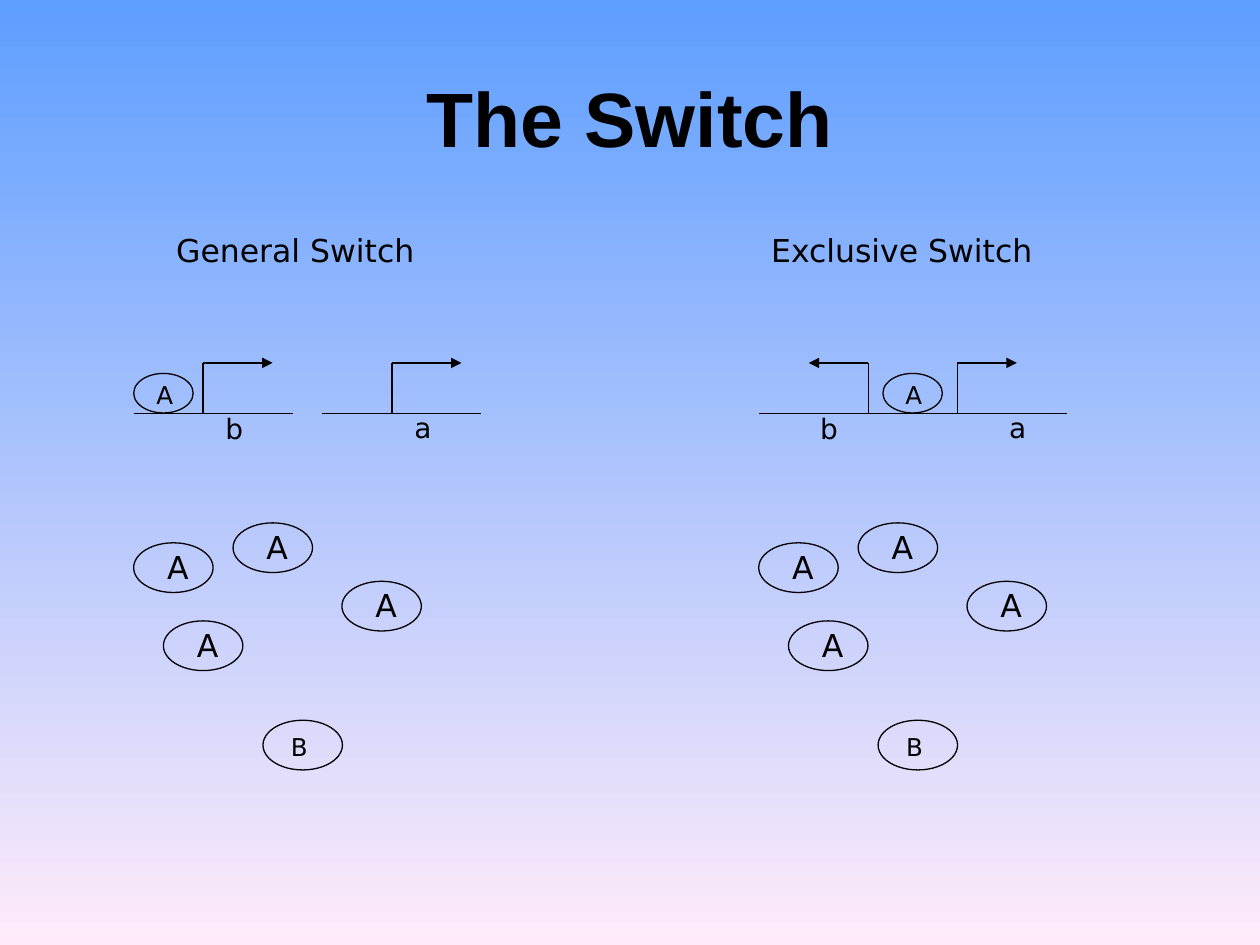
from pptx import Presentation
from pptx.dml.color import RGBColor as Rgb
from pptx.enum.shapes import MSO_CONNECTOR as Link, MSO_SHAPE as Form
from pptx.enum.text import MSO_ANCHOR as Anchor, PP_ALIGN as Align
from pptx.util import Pt
from lxml.etree import SubElement as Sub
from pptx.oxml.ns import qn

HUE = {"ink": "000000", "top": "5E9EFF", "base": "FFEBFA"}
INK = Rgb.from_string(HUE["ink"])

deck = Presentation()
deck.slide_width, deck.slide_height = Pt(720), Pt(540)
slide = deck.slides.add_slide(deck.slide_layouts[6])
fill = slide.background.fill
fill.gradient()
fill.gradient_angle = 270
for stop, key in zip(fill.gradient_stops, ("top", "base")):
    stop.color.rgb = Rgb.from_string(HUE[key])


def write(home, words, box, size, align=Align.RIGHT, font="DejaVu Sans", bold=False):
    frame = home.add_textbox(*map(Pt, box)).text_frame
    frame.word_wrap = True
    frame.vertical_anchor = Anchor.MIDDLE if bold else Anchor.TOP
    para = frame.paragraphs[0]
    para.alignment = align
    run = para.add_run()
    run.text = words
    run.font.size = Pt(size)
    run.font.name = font
    run.font.bold = bold
    run.font.color.rgb = INK


def disc(home, word, box, spot, size):
    oval = home.add_shape(Form.OVAL, *map(Pt, box))
    oval.shadow.inherit = False
    oval.fill.background()
    oval.line.color.rgb = INK
    oval.line.width = Pt(0.75)
    write(home, word, spot, size)


write(slide.shapes, "The Switch", (36, 21.6, 648, 90), 44, Align.CENTER, "Arial", True)

BASE, TOP = 236.2, 207.4
SIDES = [
    {"name": "General Switch", "left": 76.4, "head": 93.6, "disc": 76.4, "b": 121.7,
     "a": 229.7, "bee": 150.3, "bars": [(76.4, 167.2), (184.3, 275)],
     "turns": [(116.1, 155.8), (224, 263.7)]},
    {"name": "Exclusive Switch", "left": 433.6, "head": 433.6, "disc": 504.5, "b": 461.5,
     "a": 569.5, "bee": 501.8, "bars": [(433.6, 609.6)],
     "turns": [(547.1, 581.1), (496.1, 462.2)]},
]
CLOUD = [(0, 310.2), (56.8, 298.8), (119, 332.2), (17, 354.8)]

for side in SIDES:
    gene = slide.shapes.add_group_shape().shapes
    lines = [(x, BASE, end, BASE, False) for x, end in side["bars"]]
    for x, end in side["turns"]:
        lines += [(x, TOP, x, BASE, False), (x, TOP, end, TOP, True)]
    for *ends, tip in lines:
        line = gene.add_connector(Link.STRAIGHT, *map(Pt, ends))
        line.line.color.rgb = INK
        line.line.width = Pt(0.75)
        if tip:
            Sub(line.line._get_or_add_ln(), qn("a:tailEnd"), type="triangle")
        Sub(line._element.spPr, qn("a:effectLst"))
    x = side["disc"]
    disc(gene, "A", (x, 213.4, 34, 22.6), (x + 5.8, 213.4, 22.7, 24.2), 14)

    write(slide.shapes, side["name"], (side["head"], 128.2, 226.8, 29), 18, Align.LEFT)
    for word, y in (("a", 231.2), ("b", 231.8)):
        write(slide.shapes, word, (side[word], y, 22.7, 26.6), 16)

    for dx, y in CLOUD:
        x = side["left"] + dx
        home = slide.shapes.add_group_shape().shapes
        disc(home, "A", (x, y, 45.4, 28.4), (x + 12, y - 0.7, 22.7, 29), 18)
    x = side["bee"]
    home = slide.shapes.add_group_shape().shapes
    disc(home, "B", (x, 411.6, 45.4, 28.4), (x + 4.7, 414.7, 28, 24.2), 14)

deck.save("out.pptx")
